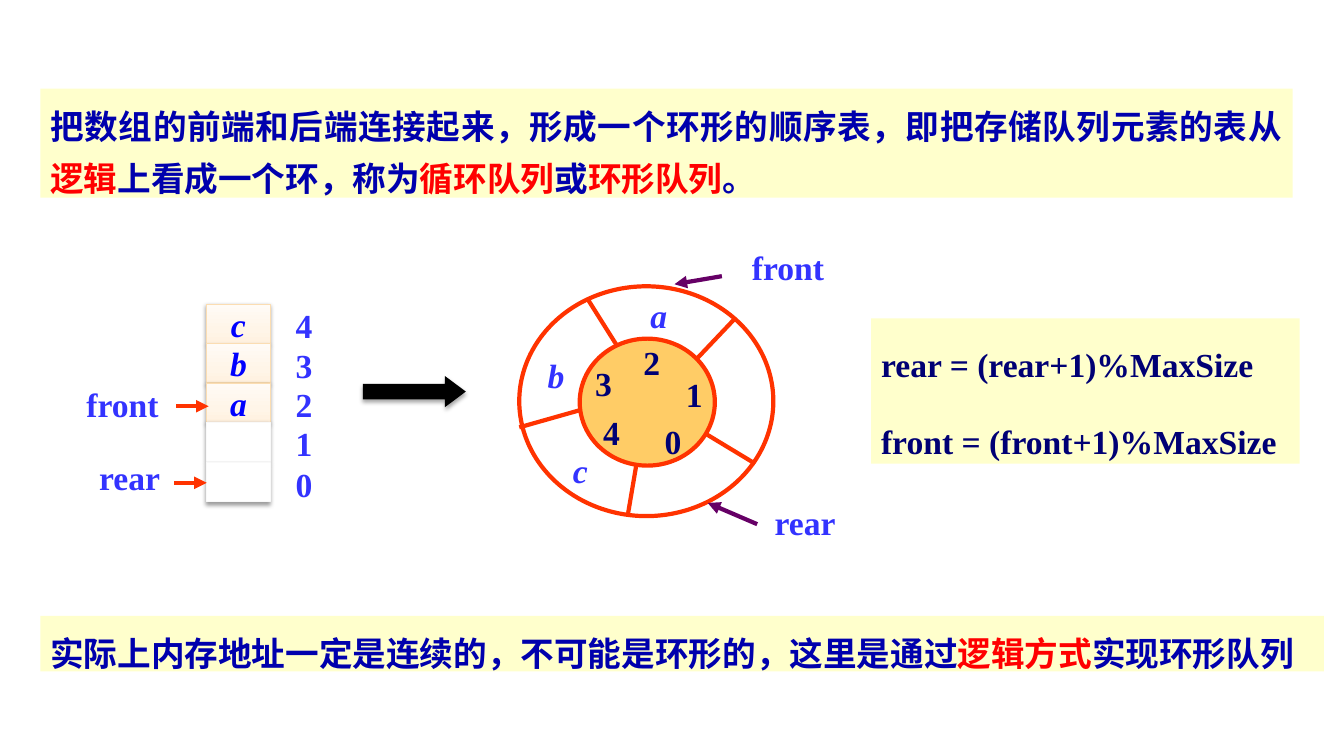
import copy
from dataclasses import dataclass
from typing import Optional, Union

import lxml.etree
import pptx
import pptx.dml.color
import pptx.enum.shapes
import pptx.enum.text
import pptx.oxml.ns
import pptx.shapes.autoshape
import pptx.shapes.shapetree
import pptx.text.text
import pptx.util

PX = 9144
LATIN = "Times New Roman"
CJK = "Noto Sans CJK SC"
COLORS = {
    "band": "FFFFCC", "navy": "0000AD", "red": "FF0000", "formula": "000074",
    "label": "3333FF", "item": "0000FF", "ring": "FF3300", "hub": "FFCC66",
    "pointer": "660066", "cell_edge": "FBDDB2", "empty_edge": "F9F9F9",
    "white": "FFFFFF", "black": "000000",
}
CELL_STOPS = [(0, "FFF1DF"), (0.35, "FFF5E8"), (1, "FFFBF6")]

Shapes = Union[pptx.shapes.shapetree.SlideShapes, pptx.shapes.shapetree.GroupShapes]
Shape = pptx.shapes.autoshape.Shape
Run = tuple[str, str]
Align = pptx.enum.text.PP_ALIGN
Kind = pptx.enum.shapes.MSO_SHAPE
qn = pptx.oxml.ns.qn


@dataclass
class Label:
    text: str
    x: int
    y: int
    w: int = 31
    h: int = 40
    color: str = "label"
    italic: bool = False
    inset: bool = False


@dataclass
class Line:
    x1: int
    y1: int
    x2: int
    y2: int
    color: str = "ring"
    arrow: bool = False


@dataclass
class Band:
    x: int
    y: int
    w: int
    h: int
    paragraphs: list[list[Run]]
    font: str
    align: pptx.enum.text.PP_ALIGN
    spacing: float
    before: Optional[int] = None


def rgb(hex_color: str) -> pptx.dml.color.RGBColor:
    return pptx.dml.color.RGBColor.from_string(hex_color)


def write_text(tf: pptx.text.text.TextFrame, paragraphs: list[list[Run]], *,
               font: str = LATIN, italic: bool = False, align: Align = Align.CENTER,
               spacing: Optional[float] = None, before: Optional[int] = None,
               wrap: bool = True, grow: bool = True) -> None:
    tf.word_wrap = wrap
    if grow:
        tf.auto_size = pptx.enum.text.MSO_AUTO_SIZE.SHAPE_TO_FIT_TEXT
    for i, runs in enumerate(paragraphs):
        p = tf.add_paragraph() if i else tf.paragraphs[0]
        p.alignment = align
        p.line_spacing = spacing
        p.space_before = pptx.util.Pt(before or 0)
        if before is None and grow:
            gap = p._p.pPr.find(qn("a:spcBef"))
            gap.remove(gap[0])
            lxml.etree.SubElement(gap, qn("a:spcPct"), val="50000")
        for text, color in runs:
            r = p.add_run()
            r.text = text
            r.font.size = pptx.util.Pt(24)
            r.font.bold = True
            r.font.italic = italic
            r.font.color.rgb = rgb(COLORS[color])
            r.font.name = font
            latin = r._r.rPr.find(qn("a:latin"))
            latin.addnext(latin.makeelement(qn("a:ea"), {"typeface": font}))


def add_shape(shapes: Shapes, kind: Kind, x: int, y: int, w: int, h: int, *,
              fill: Optional[str] = None, line: Optional[str] = None,
              width: float = 3) -> Shape:
    sp = shapes.add_shape(kind, x * PX, y * PX, w * PX, h * PX)
    sp.shadow.inherit = False
    if fill:
        sp.fill.solid()
        sp.fill.fore_color.rgb = rgb(COLORS[fill])
    else:
        sp.fill.background()
    if line:
        sp.line.color.rgb = rgb(COLORS[line])
        sp.line.width = pptx.util.Pt(width)
    else:
        sp.line.fill.background()
    return sp


def add_shadow(sp: Shape, opacity: int, distance: float) -> None:
    effects = sp._element.spPr.find(qn("a:effectLst"))
    shadow = lxml.etree.SubElement(
        effects, qn("a:outerShdw"), blurRad=str(pptx.util.Pt(3.1)),
        dist=str(pptx.util.Pt(distance)), dir="5400000", rotWithShape="0")
    color = lxml.etree.SubElement(shadow, qn("a:srgbClr"), val=COLORS["black"])
    lxml.etree.SubElement(color, qn("a:alpha"), val=str(opacity * 1000))


def add_gradient(sp: Shape) -> None:
    sp.fill.gradient()
    sp.fill.gradient_angle = 90
    stops = sp._element.spPr.find(qn("a:gradFill")).find(qn("a:gsLst"))
    stops.insert(1, copy.deepcopy(stops[0]))
    for stop, (position, color) in zip(sp.fill.gradient_stops, CELL_STOPS):
        stop.position = position
        stop.color.rgb = rgb(color)


def add_line(shapes: Shapes, line: Line) -> None:
    ends = [v * PX for v in (line.x1, line.y1, line.x2, line.y2)]
    cxn = shapes.add_connector(pptx.enum.shapes.MSO_CONNECTOR.STRAIGHT, *ends)
    cxn.line.color.rgb = rgb(COLORS[line.color])
    cxn.line.width = pptx.util.Pt(3)
    if line.arrow:
        lxml.etree.SubElement(cxn.line._ln, qn("a:tailEnd"), type="triangle")
    lxml.etree.SubElement(cxn._element.spPr, qn("a:effectLst"))


def add_label(shapes: Shapes, label: Label) -> None:
    tb = shapes.add_textbox(label.x * PX, label.y * PX, label.w * PX, label.h * PX)
    tf = tb.text_frame
    if not label.inset:
        tf.margin_left = tf.margin_right = tf.margin_top = tf.margin_bottom = 0
    write_text(tf, [[(label.text, label.color)]], italic=label.italic)


def add_band(shapes: Shapes, band: Band) -> None:
    sp = add_shape(shapes, Kind.RECTANGLE, band.x, band.y, band.w, band.h, fill="band")
    sp.text_frame.vertical_anchor = pptx.enum.text.MSO_ANCHOR.TOP
    write_text(sp.text_frame, band.paragraphs, font=band.font, align=band.align,
               spacing=band.spacing, before=band.before)


def add_array(shapes: Shapes) -> None:
    for i, item in enumerate(["c", "b", "a", "", ""]):
        y = 302 + 157 * i // 4
        sp = add_shape(shapes, Kind.RECTANGLE, 205, y, 63, 39, fill="white",
                       line="cell_edge" if item else "empty_edge", width=0.75)
        add_shadow(sp, 38, 1.6)
        if item:
            add_gradient(sp)
            sp.text_frame.vertical_anchor = pptx.enum.text.MSO_ANCHOR.MIDDLE
            write_text(sp.text_frame, [[(item, "item")]], italic=True,
                       wrap=False, grow=False)
        add_label(shapes, Label(str(4 - i), 278, y - 4, 47, 51, inset=True))
    for line in [Line(175, 403, 207, 403, arrow=True), Line(173, 479, 205, 479, arrow=True)]:
        add_line(shapes, line)
    for label in [Label("front", 74, 376, 95, 51, inset=True),
                  Label("rear", 81, 448, 95, 51, inset=True)]:
        add_label(shapes, label)


def add_ring(shapes: Shapes) -> None:
    add_shape(shapes, Kind.OVAL, 575, 336, 134, 126, fill="hub", line="ring")
    add_shape(shapes, Kind.OVAL, 515, 284, 252, 228, line="ring")
    for line in [
        Line(701, 431, 749, 460), Line(692, 355, 729, 316), Line(583, 297, 612, 343),
        Line(631, 462, 623, 509), Line(515, 424, 575, 407),
        Line(751, 520, 702, 499, "pointer", True),
        Line(716, 274, 669, 282, "pointer", True),
    ]:
        add_line(shapes, line)
    indexes = [(652, 418), (673, 371), (631, 339), (583, 360), (591, 409)]
    for i, (x, y) in enumerate(indexes):
        add_label(shapes, Label(str(i), x, y, color="formula"))
    for label in [
        Label("a", 638, 293, italic=True), Label("b", 536, 352, italic=True),
        Label("c", 560, 446, italic=True),
        Label("front", 742, 245, 79), Label("rear", 759, 498, 79),
    ]:
        add_label(shapes, label)


def main() -> None:
    prs = pptx.Presentation()
    prs.slide_width, prs.slide_height = 1333 * PX, 750 * PX
    shapes = prs.slides.add_slide(prs.slide_layouts[6]).shapes
    add_band(shapes, Band(40, 88, 1242, 108, [[
        ("把数组的前端和后端连接起来，形成一个环形的顺序表，即把存储队列元素的表从", "navy"),
        ("逻辑", "red"), ("上看成一个环，称为", "navy"), ("循环队列", "red"),
        ("或", "navy"), ("环形队列", "red"), ("。", "navy"),
    ]], CJK, Align.JUSTIFY, 1.3, 6))
    add_array(shapes.add_group_shape().shapes)
    add_ring(shapes.add_group_shape().shapes)
    arrow = add_shape(shapes, Kind.RIGHT_ARROW, 360, 373, 102, 31, fill="black")
    arrow.adjustments[1] = 0.67
    add_shadow(arrow, 35, 1.8)
    add_band(shapes, Band(40, 611, 1273, 55, [[
        ("实际上内存地址一定是连续的，不可能是环形的，这里是通过", "navy"),
        ("逻辑方式", "red"), ("实现环形队列", "navy"),
    ]], CJK, Align.JUSTIFY, 1.3, 6))
    add_band(shapes, Band(864, 316, 425, 144, [
        [("rear = (rear+1)%MaxSize", "formula")],
        [("front = (front+1)%MaxSize", "formula")],
    ], LATIN, Align.LEFT, 1.5))
    prs.save("out.pptx")


if __name__ == "__main__":
    main()
